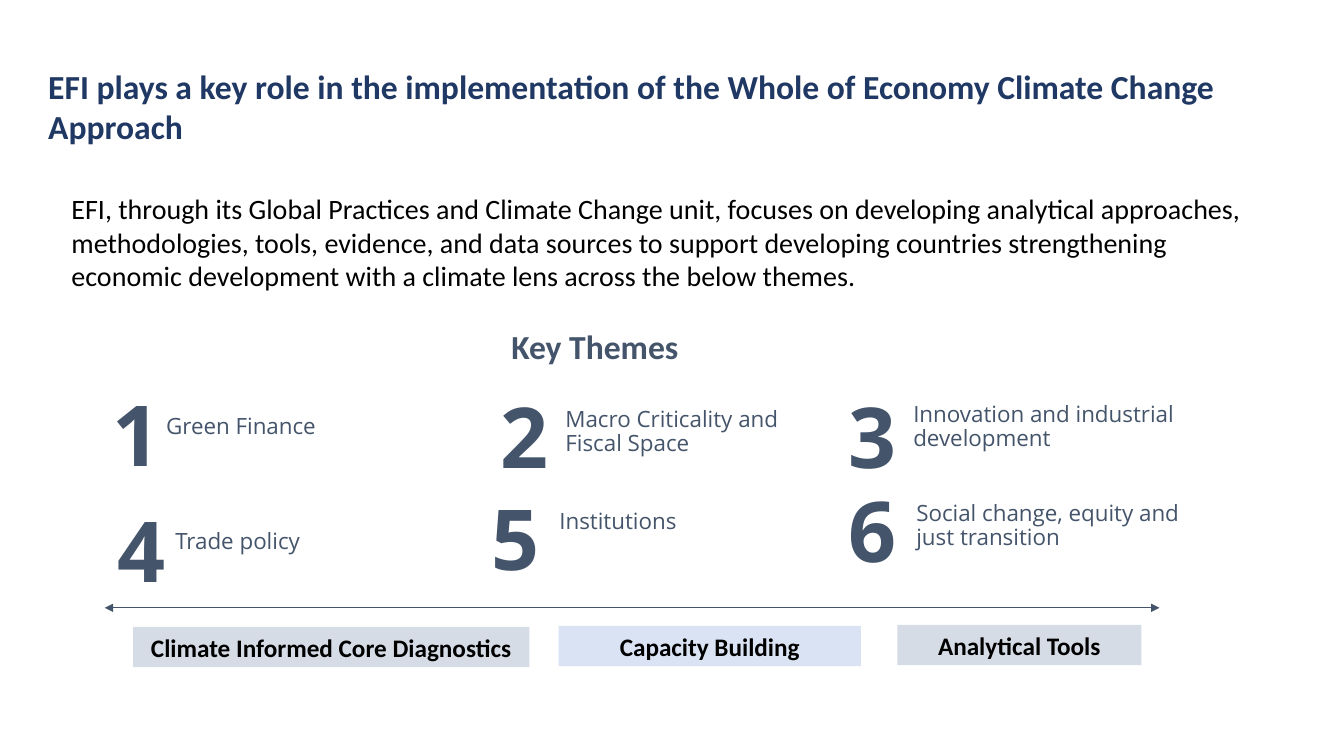
import pptx
import pptx.util
import pptx.dml.color
import pptx.enum.shapes
import pptx.enum.text
from lxml import etree
from pptx.oxml.ns import qn

Inches = pptx.util.Inches
ALIGN = pptx.enum.text.PP_ALIGN
COLORS = {
    "title": "203864",
    "body": "000000",
    "slate": "44546A",
    "grey": "D6DCE5",
    "blue": "DAE3F3",
}
FORMATS = {
    "title": {"name": "Calibri", "size": 24, "bold": True, "color": "title"},
    "intro": {"name": "Calibri", "size": 20, "bold": False, "color": "body"},
    "heading": {"name": "Calibri", "size": 24, "bold": True, "color": "slate"},
    "number": {"name": "Open Sans", "size": 60, "bold": True, "color": "slate"},
    "theme": {"name": "Open Sans", "size": 16, "bold": False, "color": "slate"},
    "pillar": {"name": "Calibri", "size": 18, "bold": True, "color": "body"},
}
THEMES_BOX = (1.02, 3.18, 11.4, 2.8)
PILLARS_BOX = (1.04, 6.03, 10.46, 0.6)
# Number box (left, top, width) and label box (left, top, width), from the region's corner
THEMES = [
    ("Green Finance", (0, 0.57, 1.05), (0.53, 0.89, 2.47)),
    ("Macro Criticality and Fiscal Space", (3.85, 0.59, 0.85), (4.49, 0.82, 2.47)),
    ("Innovation and industrial development", (7.3, 0.59, 0.9), (7.94, 0.77, 3.42)),
    ("Trade policy", (0.05, 1.72, 1.46), (0.62, 2.03, 2.46)),
    ("Institutions", (3.76, 1.6, 0.85), (4.43, 1.83, 2.47)),
    ("Social change, equity and just transition", (7.3, 1.52, 0.85), (7.97, 1.75, 3.1)),
]
# Left and top from the region's corner, width, fill
PILLARS = [
    ("Climate Informed Core Diagnostics", 0.28, 0.19, 3.93, "grey"),
    ("Capacity Building", 4.5, 0.18, 3, "blue"),
    ("Analytical Tools", 7.86, 0.17, 2.42, "grey"),
]


def rgb(name):
    return pptx.dml.color.RGBColor.from_string(COLORS[name])


def write(shape, text, style, alignment=ALIGN.LEFT, line_spacing=1.0):
    """Fill a shape with one formatted paragraph."""
    frame = shape.text_frame
    frame.word_wrap = True
    paragraph = frame.paragraphs[0]
    paragraph.alignment = alignment
    paragraph.line_spacing = line_spacing
    run = paragraph.add_run()
    run.text = text
    values = dict(FORMATS[style])
    run.font.color.rgb = rgb(values.pop("color"))
    values["size"] = pptx.util.Pt(values["size"])
    for attribute, value in values.items():
        setattr(run.font, attribute, value)


def add_text(slide, box, text, style, **options):
    shape = slide.shapes.add_textbox(*map(Inches, box))
    write(shape, text, style, **options)


def add_themes(slide, box):
    """Centred heading above six numbered themes."""
    left, top = box[:2]
    add_text(slide, (left + 2.26, top, 5.24, 0.5), "Key Themes", "heading",
             alignment=ALIGN.CENTER)
    for number, (label, number_box, label_box) in enumerate(THEMES, start=1):
        x, y, width = number_box
        add_text(slide, (left + x, top + y, width, 1.11), str(number), "number")
        x, y, width = label_box
        add_text(slide, (left + x, top + y, width, 0.62), label, "theme",
                 line_spacing=0.9)


def add_pillars(slide, box):
    """Double-headed arrow with the three supporting pillars below."""
    left, top, width, _ = box
    arrow = slide.shapes.add_connector(
        pptx.enum.shapes.MSO_CONNECTOR.STRAIGHT,
        Inches(left), Inches(top), Inches(left + width), Inches(top))
    arrow.line.color.rgb = rgb("slate")
    arrow.line.width = pptx.util.Pt(0.5)
    line = arrow.line._get_or_add_ln()
    for end in ("a:headEnd", "a:tailEnd"):
        etree.SubElement(line, qn(end), type="triangle")
    etree.SubElement(arrow._element.spPr, qn("a:effectLst"))

    for label, x, y, pillar_width, fill in PILLARS:
        pillar = slide.shapes.add_shape(
            pptx.enum.shapes.MSO_SHAPE.RECTANGLE,
            *map(Inches, (left + x, top + y, pillar_width, 0.4)))
        pillar.shadow.inherit = False
        pillar.fill.solid()
        pillar.fill.fore_color.rgb = rgb(fill)
        pillar.line.fill.background()
        write(pillar, label, "pillar", alignment=ALIGN.CENTER)


def main():
    presentation = pptx.Presentation()
    presentation.slide_width = Inches(13.33)
    presentation.slide_height = Inches(7.5)
    slide = presentation.slides.add_slide(presentation.slide_layouts[6])
    add_text(slide, (0.38, 0.6, 12.11, 1.45),
             "EFI plays a key role in the implementation of the Whole of Economy "
             "Climate Change Approach", "title")
    add_text(slide, (0.61, 1.85, 12.11, 1.11),
             "EFI, through its Global Practices and Climate Change unit, focuses on "
             "developing analytical approaches, methodologies, tools, evidence, and "
             "data sources to support developing countries strengthening economic "
             "development with a climate lens across the below themes.", "intro")
    add_themes(slide, THEMES_BOX)
    add_pillars(slide, PILLARS_BOX)
    presentation.save("out.pptx")


if __name__ == "__main__":
    main()
